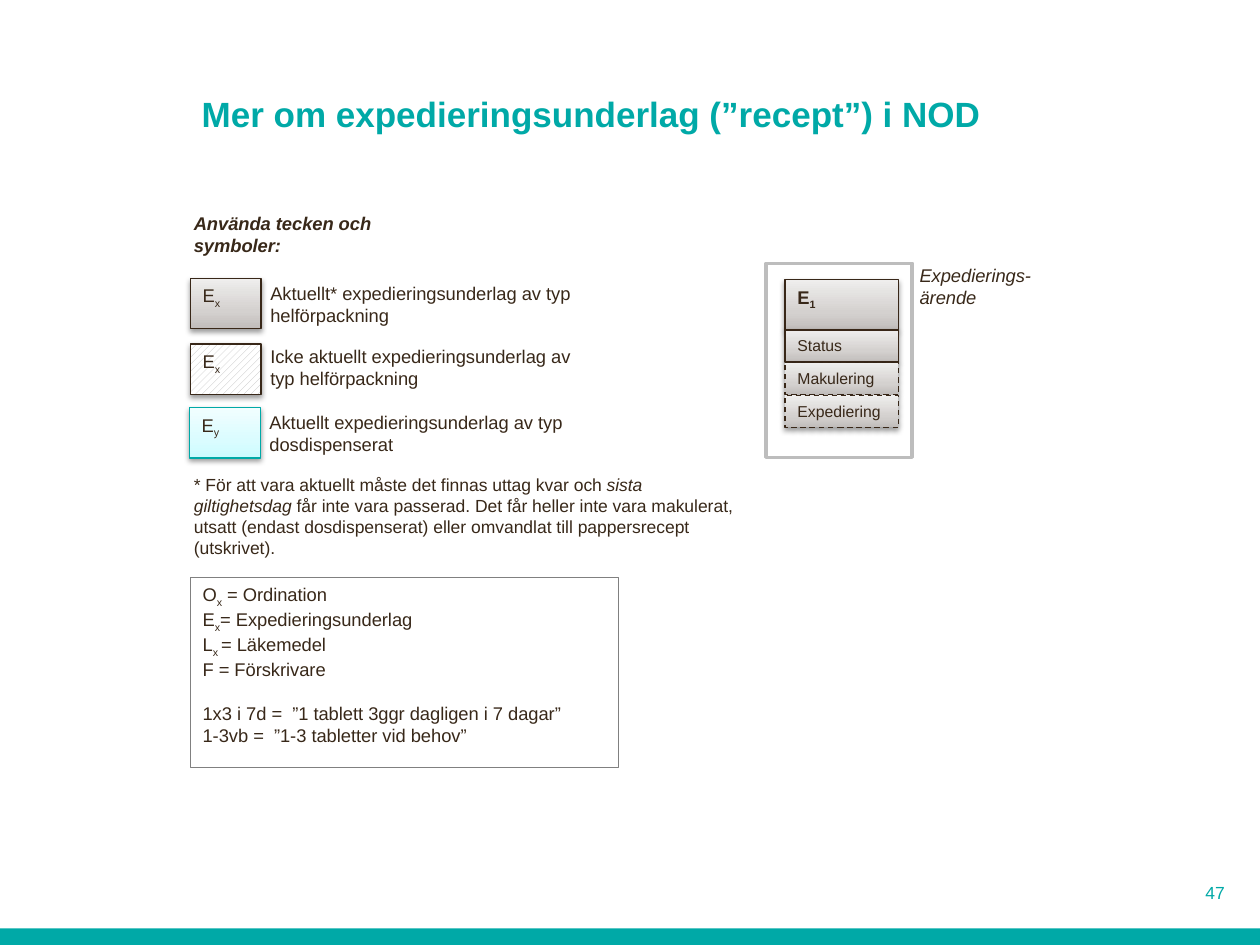
from copy import deepcopy

from lxml.etree import SubElement
from pptx import Presentation
from pptx.dml.color import RGBColor
from pptx.enum.dml import MSO_LINE, MSO_PATTERN
from pptx.enum.shapes import MSO_SHAPE
from pptx.enum.text import MSO_ANCHOR, MSO_AUTO_SIZE, PP_ALIGN
from pptx.oxml.ns import qn
from pptx.util import Pt

# Content: a paragraph is a string or a list of (text, style) runs
TITLE = "Mer om expedieringsunderlag (”recept”) i NOD"
HEADING = "Använda tecken och symboler:"
PAGE_NUMBER = "47"
CASE_LABEL = "Expedierings-\närende"
FOOTNOTE = [
    ("* För att vara aktuellt måste det finnas uttag kvar och ", ""),
    ("sista giltighetsdag ", "italic"),
    ("får inte vara passerad. Det får heller inte vara makulerat, utsatt "
     "(endast dosdispenserat) eller omvandlat till pappersrecept (utskrivet).", ""),
]
ABBREVIATIONS = [
    [("O", ""), ("x", "sub"), (" = Ordination", "")],
    [("E", ""), ("x", "sub"), ("= Expedieringsunderlag", "")],
    [("L", ""), ("x ", "sub"), ("= Läkemedel", "")],
    "F = Förskrivare",
    "1x3 i 7d =  ”1 tablett 3ggr dagligen i 7 dagar”",
    "1-3vb =  ”1-3 tabletter vid behov”",
]
DOSAGE_START = 4

TEAL, BROWN, OUTLINE = "00A9A7", "382819", "382718"
GREY_STOPS = ((0, "C1BDBB"), (0.35, "D4D1CF"), (1, "EFEEED"))
CYAN_STOPS = ((0, "CCFBFF"), (0.35, "DAFCFF"), (1, "F1FEFF"))

# Symbol left, symbol top, subscript, fill, outline, text top, text width, text
SYMBOLS = [
    (108.7, 159.1, "x", GREY_STOPS, OUTLINE, 157.5, 190,
     "Aktuellt* expedieringsunderlag av typ helförpackning"),
    (108.7, 196.6, "x", "hatch", OUTLINE, 193.9, 196.5,
     "Icke aktuellt expedieringsunderlag av typ helförpackning"),
    (108.2, 233, "y", CYAN_STOPS, TEAL, 231.5, 190,
     "Aktuellt expedieringsunderlag av typ dosdispenserat"),
]
# Text, dashed outline
CASE_ROWS = [("Status", False), ("Makulering", True), ("Expediering", True)]


def color(hex_string):
    return RGBColor.from_string(hex_string)


def write(shape, paragraphs, size=10.5, ink=BROWN, bold=False, italic=False,
          align=PP_ALIGN.LEFT, anchor=MSO_ANCHOR.TOP):
    frame = shape.text_frame
    frame.word_wrap = True
    frame.auto_size = MSO_AUTO_SIZE.NONE
    frame.vertical_anchor = anchor
    frame.margin_left = frame.margin_right = Pt(7.2)
    frame.margin_top = frame.margin_bottom = Pt(3.6)
    for index, runs in enumerate(paragraphs):
        paragraph = frame.paragraphs[0] if index == 0 else frame.add_paragraph()
        paragraph.alignment = align
        for text, style in [(runs, "")] if isinstance(runs, str) else runs:
            for line_index, line in enumerate(text.split("\n")):
                if line_index:
                    paragraph.add_line_break()
                run = paragraph.add_run()
                run.text = line
                run.font.name = "Arial"
                run.font.size = Pt(size)
                run.font.bold = bold
                run.font.italic = italic or style == "italic"
                run.font.color.rgb = color(ink)
                if style == "sub":
                    run.font._element.set("baseline", "-25000")
    return frame


def add_text(slide, box, paragraphs, **text_format):
    return write(slide.shapes.add_textbox(*map(Pt, box)), paragraphs, **text_format)


def add_box(slide, box, fill=None, line=None, width=0.75):
    shape = slide.shapes.add_shape(MSO_SHAPE.RECTANGLE, *map(Pt, box))
    shape.shadow.inherit = False
    if fill:
        shape.fill.solid()
        shape.fill.fore_color.rgb = color(fill)
    else:
        shape.fill.background()
    if line:
        shape.line.color.rgb = color(line)
        shape.line.width = Pt(width)
    else:
        shape.line.fill.background()
    return shape


def add_card(slide, box, fill, line=OUTLINE, dashed=False):
    """Shadowed rectangle with a hatch or a bottom-to-top gradient."""
    shape = add_box(slide, box, line=line)
    if dashed:
        shape.line.dash_style = MSO_LINE.DASH
    if fill == "hatch":
        shape.fill.patterned()
        shape.fill.pattern = MSO_PATTERN.WIDE_UPWARD_DIAGONAL
        shape.fill.fore_color.rgb = color("BFBFBF")
        shape.fill.back_color.rgb = color("FFFFFF")
    else:
        shape.fill.gradient()
        shape.fill.gradient_angle = 90
        stop_list = shape._element.spPr.find(qn("a:gradFill")).find(qn("a:gsLst"))
        stop_list.append(deepcopy(stop_list[0]))
        for stop, (position, hex_string) in zip(shape.fill.gradient_stops, fill):
            stop.position = position
            stop.color.rgb = color(hex_string)
    effects = shape._element.spPr.find(qn("a:effectLst"))
    shadow = SubElement(effects, qn("a:outerShdw"), blurRad=str(Pt(3.1)),
                        dist=str(Pt(1.6)), dir="5400000", rotWithShape="0")
    black = SubElement(shadow, qn("a:srgbClr"), val="000000")
    SubElement(black, qn("a:alpha"), val="38000")
    return shape


def main():
    presentation = Presentation()
    presentation.slide_width, presentation.slide_height = Pt(720), Pt(540)
    slide = presentation.slides.add_slide(presentation.slide_layouts[5])

    # Title, footer bar and page number
    title = slide.shapes.title
    title.left, title.top, title.width, title.height = map(Pt, (108, 28.8, 535, 51.8))
    write(title, [TITLE], size=20, ink=TEAL, bold=True, anchor=MSO_ANCHOR.BOTTOM)
    add_box(slide, (0, 530.6, 720, 9.4), fill=TEAL)
    add_text(slide, (658, 500.4, 49, 17.3), [PAGE_NUMBER], size=10, ink=TEAL,
             align=PP_ALIGN.RIGHT)

    # Symbols and their meanings
    add_text(slide, (103.7, 117.4, 143.3, 32.4), [HEADING], bold=True, italic=True)
    for left, top, subscript, fill, line, text_top, text_width, text in SYMBOLS:
        card = add_card(slide, (left, top, 40.5, 28.8), fill, line)
        write(card, [[("E", ""), (subscript, "sub")]])
        add_text(slide, (left + 38.7, text_top, text_width, 32.4), [text])
    add_text(slide, (103.7, 267.1, 327.6, 55.4), [FOOTNOTE], size=10)

    # Abbreviations
    box = add_box(slide, (108.7, 329.8, 244.8, 108.7), line="808080")
    frame = write(box, ABBREVIATIONS)
    frame.paragraphs[DOSAGE_START].space_before = Pt(12.6)

    # Dispensing case: a frame around a header and equally spaced rows
    add_box(slide, (437.8, 150.5, 83.5, 110.9), line="BDBDBD", width=2)
    left, top, width, header_height, row_step = 448.6, 159.8, 64.8, 28.8, 18.7
    header = add_card(slide, (left, top, width, header_height), GREY_STOPS)
    write(header, [[("E", ""), ("1", "sub")]], bold=True)
    for index, (text, dashed) in enumerate(CASE_ROWS):
        row_top = top + header_height + index * row_step
        row = add_card(slide, (left, row_top, width, 18.3), GREY_STOPS, dashed=dashed)
        write(row, [text], size=9)
    add_text(slide, (518.4, 147.6, 91.4, 32.4), [CASE_LABEL], italic=True)

    presentation.save("out.pptx")


if __name__ == "__main__":
    main()
